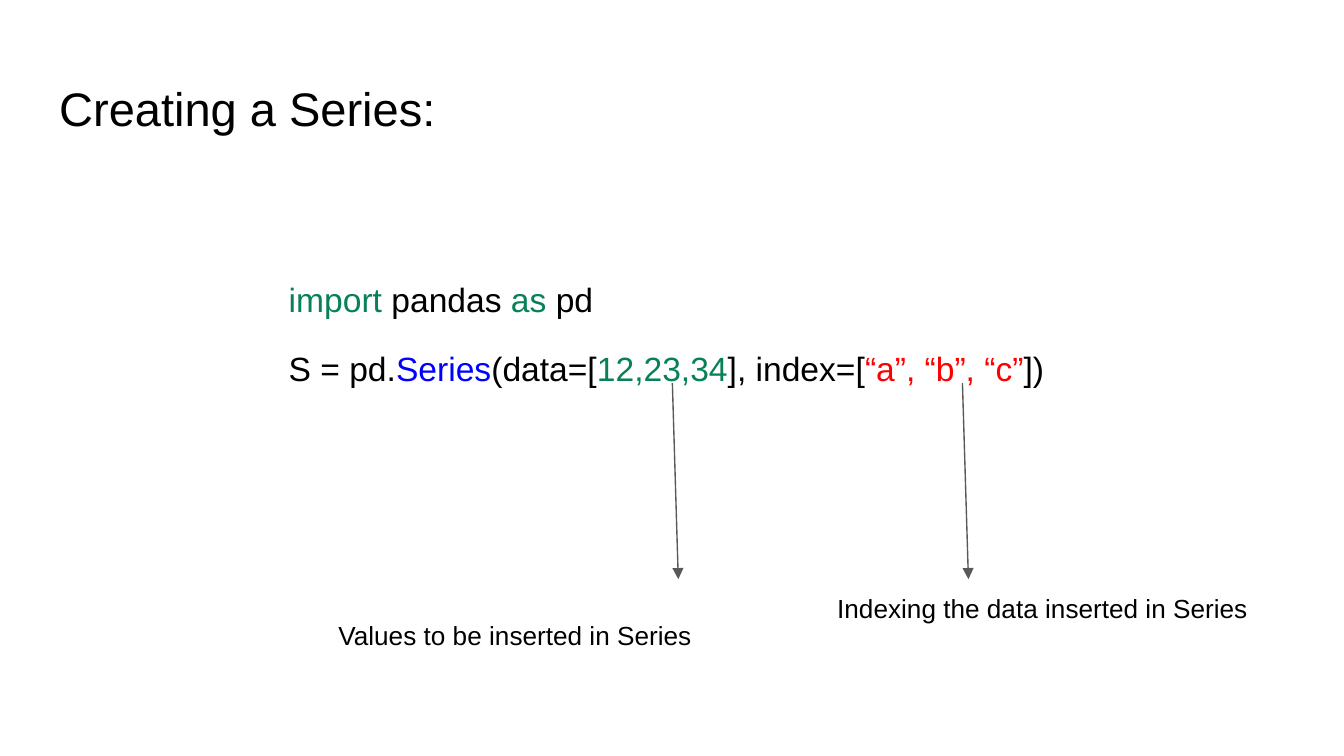
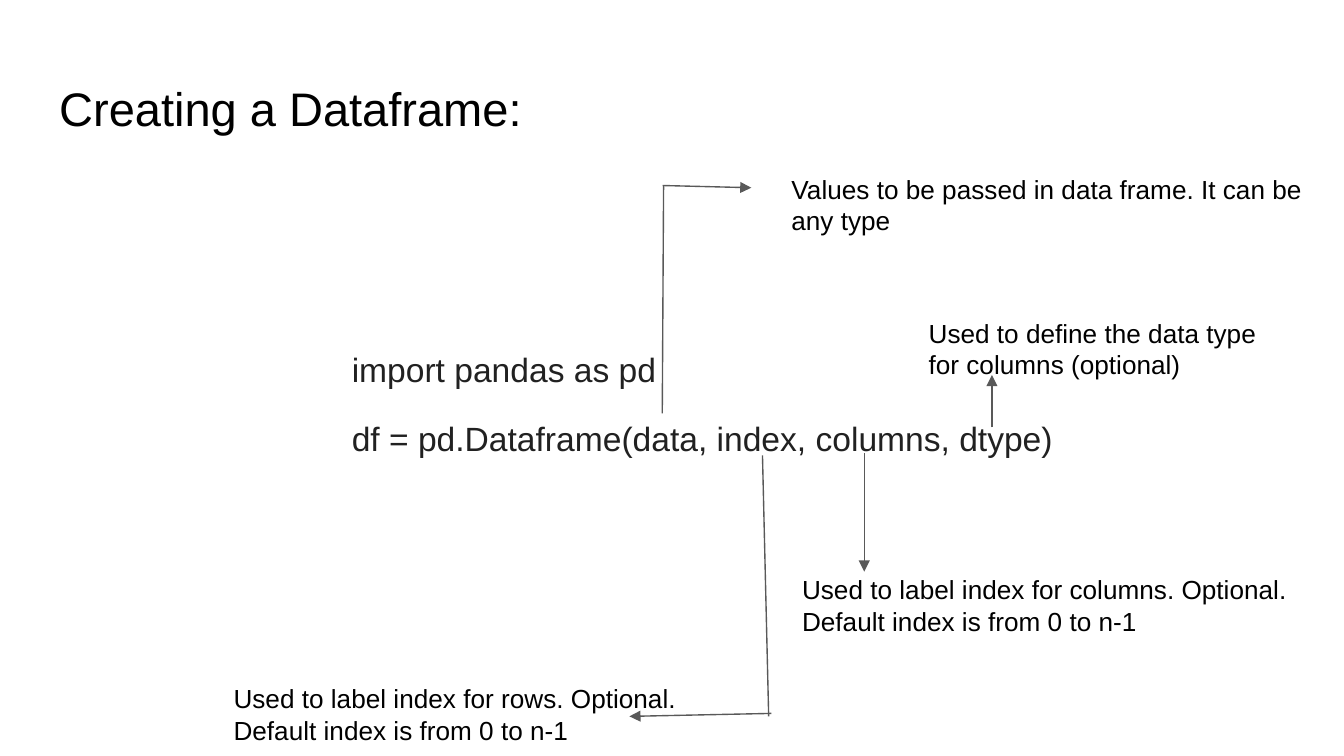
from lxml import etree
from pptx import Presentation
from pptx.dml.color import RGBColor
from pptx.enum.shapes import MSO_CONNECTOR as Connector
from pptx.enum.text import MSO_ANCHOR as Anchor, MSO_AUTO_SIZE as AutoSize, PP_ALIGN as Align
from pptx.oxml.ns import qn
from pptx.util import Pt

BLACK = RGBColor(0x00, 0x00, 0x00)
CHARCOAL = RGBColor(0x21, 0x21, 0x21)
GREY = RGBColor(0x59, 0x59, 0x59)
GREEN = RGBColor(0x09, 0x81, 0x56)
BLUE = RGBColor(0x00, 0x00, 0xFF)
RED = RGBColor(0xFF, 0x00, 0x00)

FONT = "Arial"
INSET = Pt(7.2)
TITLE_SIZE, CODE_SIZE, NOTE_SIZE = Pt(25.2), Pt(18), Pt(14)
TITLE_ONLY = 5


class CodeDeck:
    """Slides that show a piece of code with arrows to short notes."""

    def __init__(self):
        self.deck = Presentation()
        self.deck.slide_width, self.deck.slide_height = Pt(720), Pt(405)
        self.page = None

    def new_page(self, title):
        self.page = self.deck.slides.add_slide(self.deck.slide_layouts[TITLE_ONLY])
        box = self.page.shapes.title
        box.left, box.top, box.width, box.height = Pt(24.5), Pt(35.3), Pt(671), Pt(45.4)
        frame = self.set_frame(box)
        frame.text = title
        self.set_font(frame.paragraphs[0], TITLE_SIZE, BLACK)

    def set_frame(self, box, auto_size=AutoSize.NONE):
        frame = box.text_frame
        frame.word_wrap = True
        frame.auto_size = auto_size
        frame.vertical_anchor = Anchor.TOP
        frame.margin_left = frame.margin_right = INSET
        frame.margin_top = frame.margin_bottom = INSET
        return frame

    def set_font(self, para, size, colour=None):
        para.alignment = Align.LEFT
        para.font.name, para.font.size = FONT, size
        if colour is not None:
            para.font.color.rgb = colour

    def add_box(self, left, top, width, height):
        return self.page.shapes.add_textbox(Pt(left), Pt(top), Pt(width), Pt(height))

    def code(self, left, top, width, height, lines):
        """Each line is a list of (text, colour) spans."""
        frame = self.set_frame(self.add_box(left, top, width, height))
        for number, spans in enumerate(lines):
            para = frame.add_paragraph() if number else frame.paragraphs[0]
            para.line_spacing = 1.15
            if number:
                para.space_before = para.space_after = Pt(12)
            self.set_font(para, CODE_SIZE)
            for text, colour in spans:
                span = para.add_run()
                span.text = text
                span.font.color.rgb = colour

    def note(self, left, top, width, height, text):
        box = self.add_box(left, top, width, height)
        frame = self.set_frame(box, AutoSize.SHAPE_TO_FIT_TEXT)
        frame.text = text
        self.set_font(frame.paragraphs[0], NOTE_SIZE, BLACK)

    def line(self, start, end, arrow=True):
        link = self.page.shapes.add_connector(
            Connector.STRAIGHT, *(Pt(value) for value in (*start, *end)))
        link.line.color.rgb = GREY
        link.line.width = Pt(0.75)
        if arrow:
            outline = link.line._get_or_add_ln()
            etree.SubElement(outline, qn("a:tailEnd"), type="triangle")
        etree.SubElement(link._element.spPr, qn("a:effectLst"))


def add_series_page(deck):
    deck.new_page("Creating a Series:")
    deck.code(147.6, 139, 424, 126.7, [
        [("import ", GREEN), ("pandas ", BLACK), ("as ", GREEN), ("pd", BLACK)],
        [("S = pd.", BLACK), ("Series", BLUE), ("(data=[", BLACK), ("12,23,34", GREEN),
         ("], index=[", BLACK), ("“a”, “b”, “c”", RED), ("])", BLACK)],
    ])
    for x in (360.2, 515.6):
        deck.line((x, 205.2), (x + 3.2, 310.3))
    deck.note(174.2, 324.7, 242.6, 31.7, "Values to be inserted in Series")
    deck.note(441.4, 310.3, 242.6, 31.7, "Indexing the data inserted in Series")


def add_dataframe_page(deck):
    deck.new_page("Creating a Dataframe:")
    deck.code(181.4, 176.4, 422.6, 97.9, [
        [("import pandas as pd", CHARCOAL)],
        [("df = pd.Dataframe(data, index, columns, dtype)", CHARCOAL)],
    ])
    deck.line((354.8, 221.5), (355.5, 99.4), arrow=False)
    deck.line((408.5, 244), (411.8, 383.8), arrow=False)
    deck.line((355, 99.4), (402.5, 100.6))
    deck.line((413.3, 382.2), (337.2, 383.8))
    deck.line((463, 242.8), (463, 306.2))
    deck.line((531.4, 229), (531.4, 200.9))
    for left, top, width, text in (
        (416.9, 85.7, 295.9, "Values to be passed in data frame. It can be any type"),
        (118, 358.6, 258.5,
         "Used to label index for rows. Optional. Default index is from 0 to n-1"),
        (422.6, 300.2, 290.2,
         "Used to label index for columns. Optional. Default index is from 0 to n-1"),
        (490.4, 162.7, 205.2, "Used to define the data type for columns (optional)"),
    ):
        deck.note(left, top, width, 48.2, text)


def main():
    deck = CodeDeck()
    add_series_page(deck)
    add_dataframe_page(deck)
    deck.deck.save("out.pptx")


if __name__ == "__main__":
    main()
